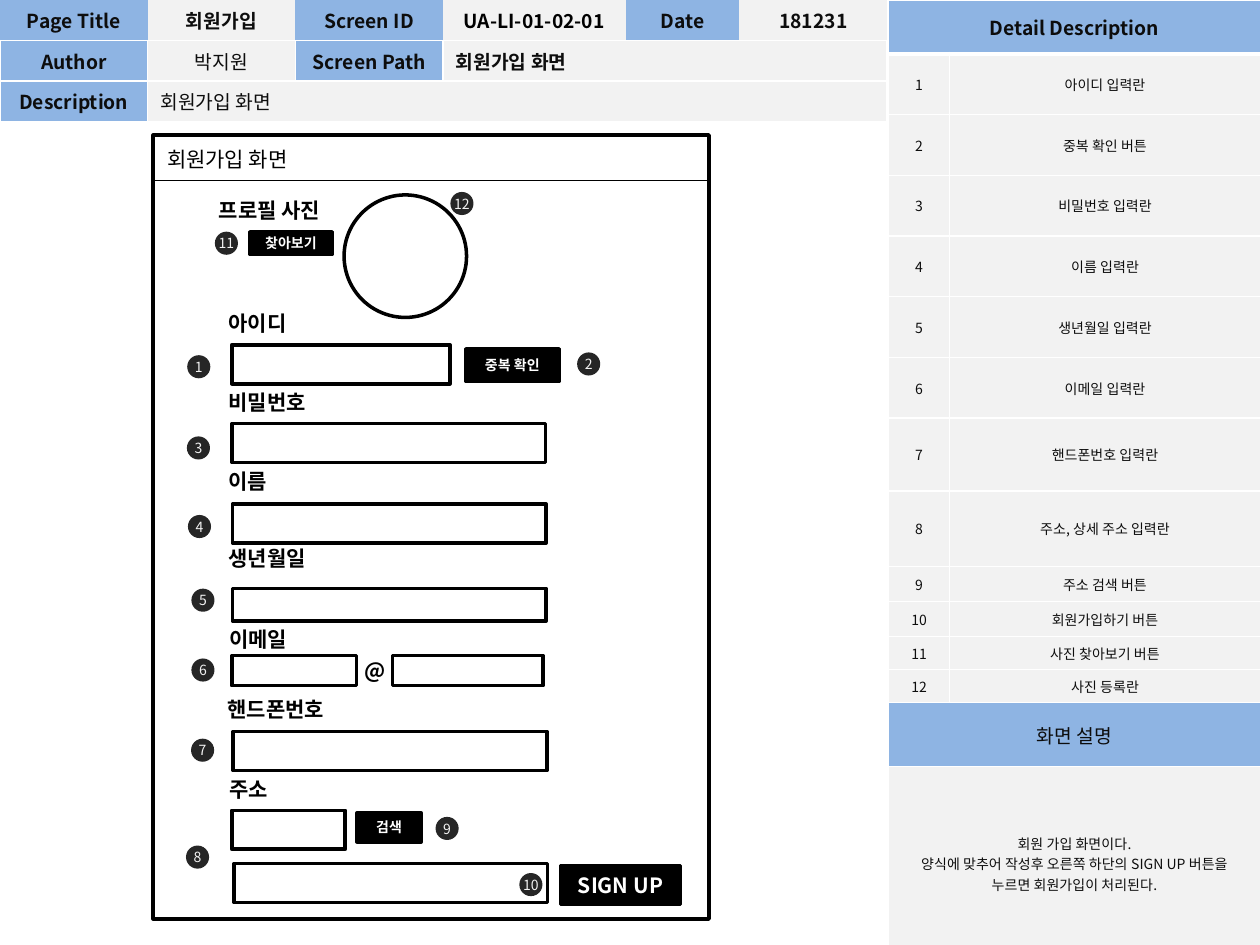
from lxml import etree
from pptx import Presentation
from pptx.dml.color import RGBColor
from pptx.enum.shapes import MSO_CONNECTOR, MSO_SHAPE
from pptx.enum.text import MSO_ANCHOR, PP_ALIGN
from pptx.oxml.ns import qn
from pptx.util import Pt

RECT, OVAL = MSO_SHAPE.RECTANGLE, MSO_SHAPE.OVAL
STRAIGHT = MSO_CONNECTOR.STRAIGHT
LEFT, CENTER = PP_ALIGN.LEFT, PP_ALIGN.CENTER
TOP, MIDDLE = MSO_ANCHOR.TOP, MSO_ANCHOR.MIDDLE
FONT = "Noto Sans CJK KR"
BLUE, GRAY, INK = "8EB4E3", "F2F2F2", "0D0D0D"
BLACK, WHITE, BADGE = "000000", "FFFFFF", "262626"
hex_color = RGBColor.from_string


def write(frame, text, size=12, color=BLACK, bold=False, align=LEFT, anchor=TOP):
    frame.vertical_anchor = anchor
    for i, line in enumerate(text.split("\n")):
        paragraph = frame.add_paragraph() if i else frame.paragraphs[0]
        paragraph.alignment = align
        run = paragraph.add_run()
        run.text = line
        run.font.size, run.font.bold, run.font.name = Pt(size), bold, FONT
        run.font.color.rgb = hex_color(color)
        etree.SubElement(run.font._element, qn("a:ea"), typeface=FONT)


def draw(kind, box, fill=None, line=BLACK, text=None, **text_format):
    shape = slide.shapes.add_shape(kind, *[Pt(v) for v in box])
    shape.shadow.inherit = False
    if fill:
        shape.fill.solid()
        shape.fill.fore_color.rgb = hex_color(fill)
    else:
        shape.fill.background()
    if line:
        shape.line.color.rgb = hex_color(line)
        shape.line.width = Pt(2)
    else:
        shape.line.fill.background()
    if text:
        frame = shape.text_frame
        frame.word_wrap = False
        frame.margin_left = frame.margin_right = frame.margin_top = frame.margin_bottom = 0
        write(frame, text, size=text_format.pop("size", 8), align=CENTER, anchor=MIDDLE, **text_format)


prs = Presentation()
prs.slide_width, prs.slide_height = Pt(720), Pt(540)
slide = prs.slides.add_slide(prs.slide_layouts[6])

# Table contents: each cell is text, column span, fill, text format
head = dict(size=11, bold=True, align=CENTER)
plain = dict(size=11, align=CENTER)
small = dict(size=8, align=CENTER)
page_info = [
    [("Page Title", 1, BLUE, head), ("회원가입", 1, GRAY, head),
     ("Screen ID", 1, BLUE, head), ("UA-LI-01-02-01", 1, GRAY, dict(head, color=BLACK)),
     ("Date", 1, BLUE, head), ("181231", 1, GRAY, head)],
    [("Author", 1, BLUE, head), ("박지원", 1, GRAY, plain),
     ("Screen Path", 1, BLUE, head), ("회원가입 화면", 3, GRAY, dict(size=11, bold=True))],
    [("Description", 1, BLUE, head), ("회원가입 화면", 5, GRAY, dict(size=11))],
]
details = ["아이디 입력란", "중복 확인 버튼", "비밀번호 입력란", "이름 입력란",
           "생년월일 입력란", "이메일 입력란", "핸드폰번호 입력란", "주소, 상세 주소 입력란",
           "주소 검색 버튼", "회원가입하기 버튼", "사진 찾아보기 버튼", "사진 등록란"]
summary = "회원 가입 화면이다.\n양식에 맞추어 작성후 오른쪽 하단의 SIGN UP 버튼을\n누르면 회원가입이 처리된다."
descriptions = [
    [("Detail Description", 2, BLUE, head)],
    *[[(str(n), 1, GRAY, small), (detail, 1, GRAY, small)] for n, detail in enumerate(details, 1)],
    [("화면 설명", 2, BLUE, plain)],
    [(summary, 2, GRAY, small)],
]

# Border widths by side: left, right, top, bottom
tables = [
    (0, [84.4, 84.4, 84.4, 104.4, 65, 84.4], [22.5, 23, 23], page_info, (0, 0, 0, 1)),
    (507.7, [35, 177.6], [30.8] + [34.7] * 6 + [41.5, 43.2, 20, 20, 14.4, 14.4, 36.7, 110.9],
     descriptions, (1, 1, 1, 3)),
]
for left, widths, heights, rows, first_borders in tables:
    table = slide.shapes.add_table(len(heights), len(widths), Pt(left), 0,
                                   Pt(sum(widths)), Pt(sum(heights))).table
    table.first_row = table.horz_banding = False
    for column, width in zip(table.columns, widths):
        column.width = Pt(width)
    for r, (row, height) in enumerate(zip(rows, heights)):
        table.rows[r].height = Pt(height)
        borders = (1, 1, 1, 1) if r else first_borders
        c = 0
        for text, span, fill, text_format in row:
            for cell in [table.cell(r, c + k) for k in range(span)]:
                properties = cell._tc.get_or_add_tcPr()
                for side, width in zip("LRTB", borders):
                    edge = etree.SubElement(properties, qn("a:ln" + side), w=str(Pt(width)))
                    paint = etree.SubElement(edge, qn("a:solidFill" if width else "a:noFill"))
                    if width:
                        etree.SubElement(paint, qn("a:srgbClr"), val=WHITE)
                cell.fill.solid()
                cell.fill.fore_color.rgb = hex_color(fill)
                cell.vertical_anchor = MIDDLE
            origin = table.cell(r, c)
            if span > 1:
                origin.merge(table.cell(r, c + span - 1))
            write(origin.text_frame, text, anchor=MIDDLE, **{"color": INK, **text_format})
            c += span

# Form frame, title rule and profile photo
draw(RECT, (87.6, 77.2, 317.6, 448))
rule = slide.shapes.add_connector(STRAIGHT, Pt(86.4), Pt(103), Pt(405.4), Pt(103))
rule.line.color.rgb = hex_color(BLACK)
rule.line.width = Pt(0.75)
etree.SubElement(rule._element.spPr, qn("a:effectLst"))
draw(OVAL, (196.6, 111.4, 70, 70))

# Input fields
for field in [(132.5, 197, 124.6, 22.3), (132.5, 242, 179.3, 22.3), (132.8, 288, 179.3, 22.3),
              (132.8, 336.2, 179.3, 18.7), (132.5, 374.6, 71.3, 17.3), (224.4, 374.6, 85.9, 17.3),
              (133.2, 418, 179.3, 22.3), (132.5, 463, 64.8, 22.3), (133.7, 493.4, 179.3, 22.3)]:
    draw(RECT, field)

# Labels
for label, x, y, width, bold in [
        ("회원가입 화면", 88.4, 80.3, 125, False), ("프로필 사진", 118, 109.4, 86, True),
        ("아이디", 123.6, 173.9, 57, True), ("비밀번호", 123.6, 218.9, 73, True),
        ("이름", 123.6, 264.2, 45, True), ("생년월일", 123.6, 308.2, 73, True),
        ("이메일", 124, 354.3, 57, True), ("@", 201.2, 372.2, 24, True),
        ("핸드폰번호", 123, 394.6, 91, True), ("주소", 124, 440, 45, True)]:
    box = slide.shapes.add_textbox(Pt(x), Pt(y), Pt(width), Pt(21.6))
    box.text_frame.word_wrap = True
    write(box.text_frame, label, bold=bold)

# Buttons
for caption, size, button in [
        ("찾아보기", 8, (142.9, 132.4, 46.8, 13)), ("중복 확인", 8, (266.2, 199.3, 53.3, 18.7)),
        ("검색", 8, (204, 464.5, 36.7, 16.6)), ("SIGN UP", 12, (320.4, 494.7, 68.4, 22.3))]:
    draw(RECT, button, fill=BLACK, text=caption, size=size, color=WHITE, bold=True)

# Numbered badges, by centre
badge_centers = [(113.6, 209.6), (336.4, 208), (113.4, 256), (114, 300.9), (116, 343),
                 (116, 382.9), (115.8, 428.7), (112.9, 489.8), (255.5, 473.4),
                 (303.4, 505.5), (129.4, 139), (264, 116.3)]
for number, (x, y) in enumerate(badge_centers, 1):
    draw(OVAL, (x - 6.6, y - 6.6, 13.2, 13.2), fill=BADGE, line=None, text=str(number), color=GRAY)

prs.save("out.pptx")
